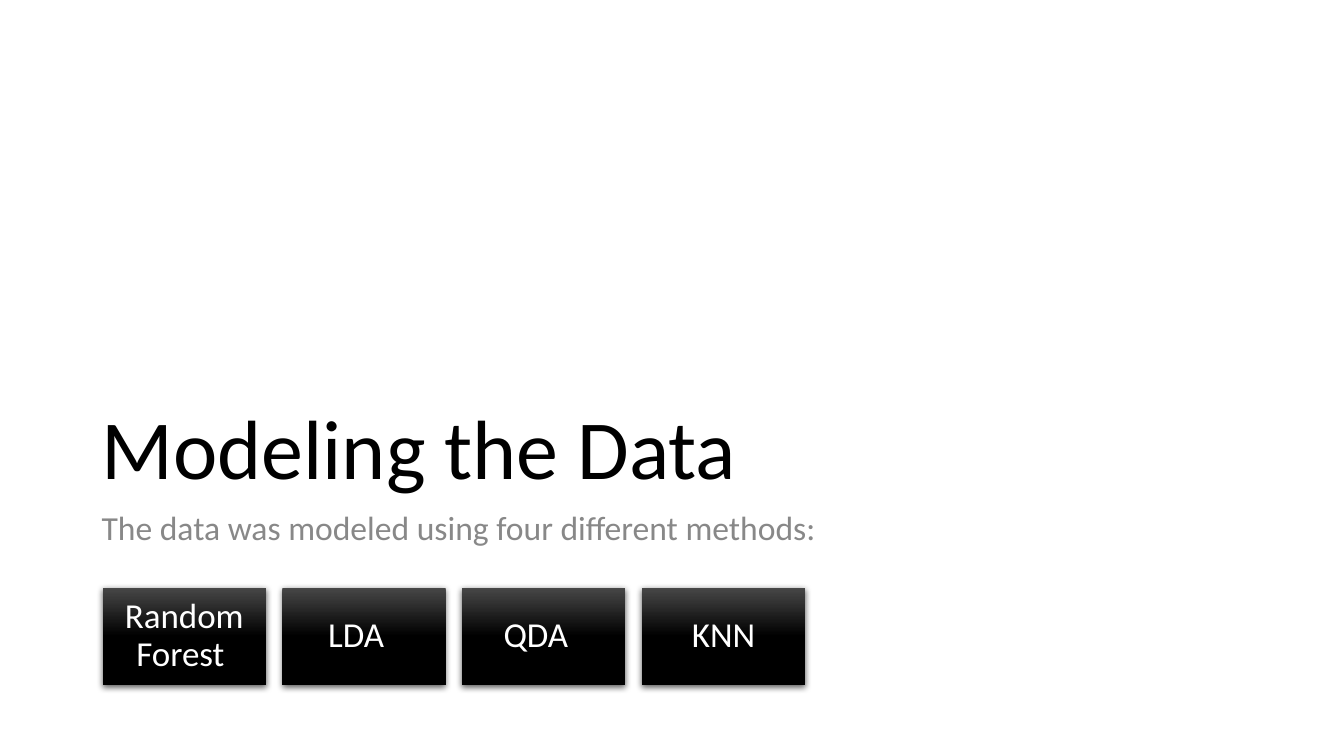
from lxml.etree import SubElement
from pptx import Presentation
from pptx.dml.color import RGBColor
from pptx.enum.shapes import MSO_SHAPE
from pptx.enum.text import MSO_ANCHOR, MSO_AUTO_SIZE, PP_ALIGN
from pptx.oxml.ns import qn
from pptx.util import Cm, Pt

BLACK = RGBColor(0x00, 0x00, 0x00)
CHARCOAL = RGBColor(0x47, 0x47, 0x47)
GRAY = RGBColor(0x88, 0x88, 0x88)
WHITE = RGBColor(0xFF, 0xFF, 0xFF)

METHODS = [("Random Forest ", 0), ("LDA", 0.4), ("QDA", 0.4), ("KNN", 0)]
FIRST_LEFT, CARD_TOP, CARD_PITCH = 2.59, 14.81, 4.53
CARD_WIDTH, CARD_HEIGHT = 4.11, 2.46


def write_text(frame, text, *, size, color, align=PP_ALIGN.LEFT,
               anchor=MSO_ANCHOR.TOP, margins=(0.25, 0.13, 0.25, 0.13)):
    frame.word_wrap = True
    frame.auto_size = MSO_AUTO_SIZE.NONE
    frame.vertical_anchor = anchor
    (frame.margin_left, frame.margin_top,
     frame.margin_right, frame.margin_bottom) = map(Cm, margins)
    paragraph = frame.paragraphs[0]
    paragraph.alignment = align
    paragraph.line_spacing = 0.9
    run = paragraph.add_run()
    run.text = text
    run.font.name = "Calibri"
    run.font.size = Pt(size)
    run.font.color.rgb = color


class SlideBuilder:
    """Adds consistently styled elements to the current slide."""

    def __init__(self, presentation):
        self.slide = presentation.slides.add_slide(presentation.slide_layouts[5])

    def title(self, text, left, top, width, height):
        title = self.slide.shapes.title
        title.left, title.top = Cm(left), Cm(top)
        title.width, title.height = Cm(width), Cm(height)
        write_text(title.text_frame, text, size=60, color=BLACK,
                   anchor=MSO_ANCHOR.BOTTOM)

    def subtitle(self, text, left, top, width, height):
        box = self.slide.shapes.add_textbox(
            Cm(left), Cm(top), Cm(width), Cm(height))
        write_text(box.text_frame, text, size=24, color=GRAY)

    def card(self, text, left, top, width, height, extra_right=0):
        card = self.slide.shapes.add_shape(
            MSO_SHAPE.RECTANGLE, Cm(left), Cm(top), Cm(width), Cm(height))
        card.line.fill.background()
        card.fill.gradient()
        card.fill.gradient_angle = 270
        for stop, color, position in zip(
                card.fill.gradient_stops, (CHARCOAL, BLACK), (0, 0.5)):
            stop.color.rgb = color
            stop.position = position
        self.add_shadow(card)
        write_text(card.text_frame, text, size=25, color=WHITE,
                   align=PP_ALIGN.CENTER, anchor=MSO_ANCHOR.MIDDLE,
                   margins=(0.25, 0.25, 0.25 + extra_right, 0.25))

    def add_shadow(self, shape):
        shape.shadow.inherit = False
        effects = shape.element.spPr.find(qn("a:effectLst"))
        shadow = SubElement(effects, qn("a:outerShdw"), blurRad=str(Pt(4.5)),
                            dist=str(Pt(1.5)), dir="5400000",
                            algn="ctr", rotWithShape="0")
        color = SubElement(shadow, qn("a:srgbClr"), val=str(BLACK))
        SubElement(color, qn("a:alpha"), val="62000")


def main():
    presentation = Presentation()
    presentation.slide_width, presentation.slide_height = Cm(33.87), Cm(19.05)
    builder = SlideBuilder(presentation)
    builder.title("Modeling the Data", 2.31, 4.75, 29.21, 7.92)
    builder.subtitle("The data was modeled using four different methods:",
                     2.31, 12.75, 29.21, 1.8)
    for index, (method, extra_right) in enumerate(METHODS):
        builder.card(method, FIRST_LEFT + index * CARD_PITCH, CARD_TOP,
                     CARD_WIDTH, CARD_HEIGHT, extra_right)
    presentation.save("out.pptx")


if __name__ == "__main__":
    main()
